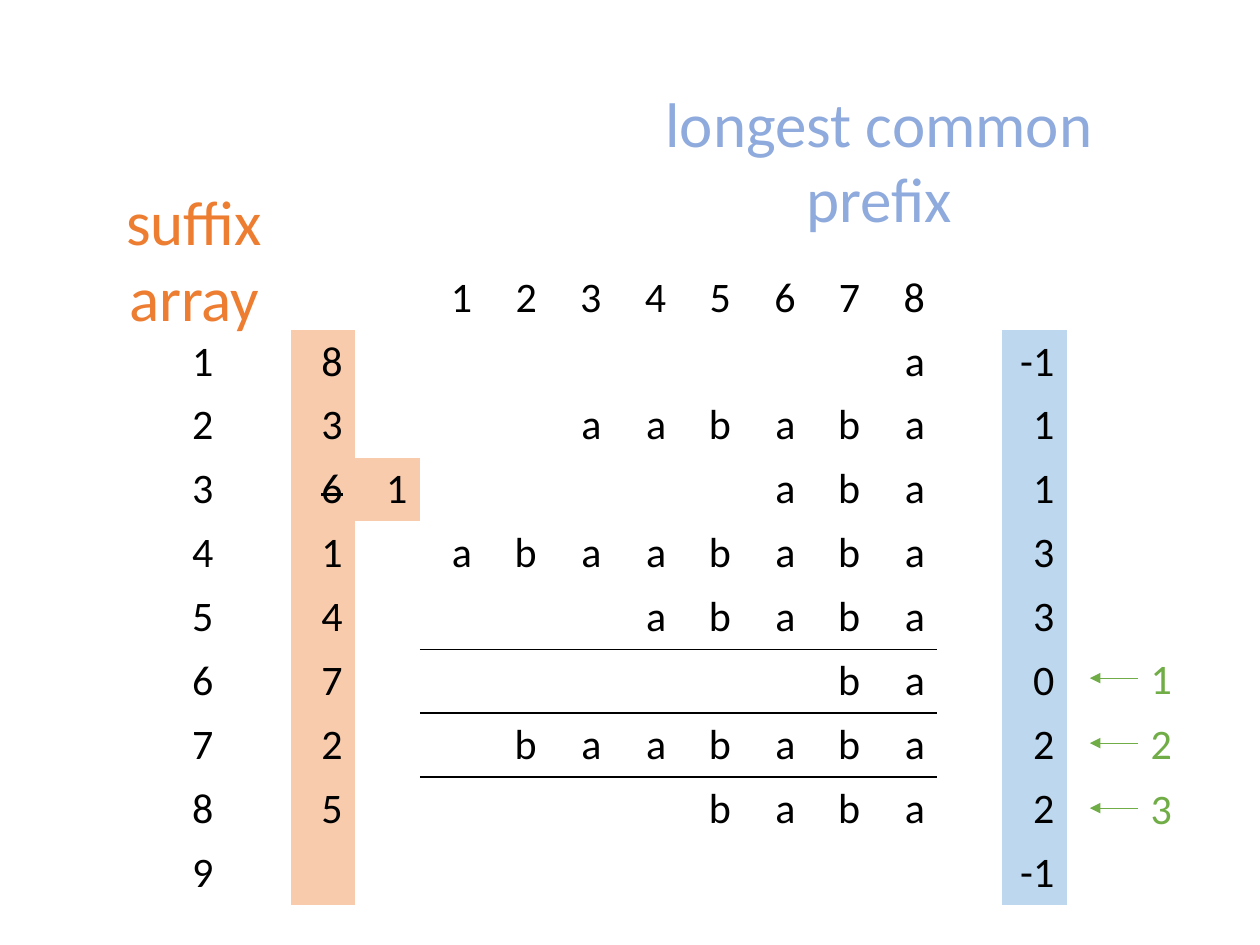
from lxml import etree
from pptx import Presentation
from pptx import util as u
from pptx.dml.color import RGBColor
from pptx.enum import shapes, text
from pptx.oxml import parse_xml
from pptx.oxml.ns import nsdecls, qn

# Content
STRING = "abaababa"
SUFFIX_ARRAY = [8, 3, 6, 1, 4, 7, 2, 5]
LCP = [-1, 1, 1, 3, 3, 0, 2, 2, -1]
STRUCK_ROW, REPLACEMENT = 3, 1
RULED_ROWS = (5, 6)  # rows with a line below
HEADINGS = [  # text, colour name, left, top, width
    ("suffix array", "orange", 0.84, 3.56, 6.15),
    ("longest common prefix", "blue", 11.56, 1.57, 12.32),
]
STEPS = ["1", "2", "3"]

# Table columns
INDEX, SUFFIX, EXTRA, FIRST_LETTER, LCP_COLUMN = 0, 2, 3, 4, 13
ROWS, COLUMNS = len(LCP) + 1, 14

THEME = {
    "font": "Calibri", "heading": 36, "body": 24,
    "black": "000000", "orange": "ED7D31", "blue": "8FAADC", "green": "70AD47",
    "suffix_fill": "F8CBAD", "lcp_fill": "BDD7EE",
}
NO_STYLE = "{2D5ABB26-0587-4C30-8999-92F81FD0307C}"


def colour(name):
    return RGBColor.from_string(THEME[name])


def write(frame, words, size="body", ink="black",
          align=text.PP_ALIGN.CENTER, strike=False):
    paragraph = frame.paragraphs[0]
    paragraph.alignment = align
    run = paragraph.add_run()
    run.text = str(words)
    run.font.name = THEME["font"]
    run.font.size = u.Pt(THEME[size])
    run.font.color.rgb = colour(ink)
    if strike:
        run._r.get_or_add_rPr().set("strike", "sngStrike")


def add_label(slide, words, left, top, width, height, wrap=False, **style):
    box = slide.shapes.add_textbox(u.Cm(left), u.Cm(top), u.Cm(width), u.Cm(height))
    frame = box.text_frame
    frame.word_wrap = wrap
    frame.auto_size = text.MSO_AUTO_SIZE.SHAPE_TO_FIT_TEXT
    if wrap:
        frame.margin_left = frame.margin_right = u.Cm(0.4)
    write(frame, words, **style)


def add_arrow(slide, start, end, y):
    arrow = slide.shapes.add_connector(
        shapes.MSO_CONNECTOR.STRAIGHT, u.Cm(start), u.Cm(y), u.Cm(end), u.Cm(y))
    arrow.line.color.rgb = colour("green")
    arrow.line.width = u.Pt(0.5)
    etree.SubElement(arrow.line._get_or_add_ln(), qn("a:tailEnd"), type="triangle")
    etree.SubElement(arrow._element.spPr, qn("a:effectLst"))


def add_border(cell, side):
    line = parse_xml(
        f'<a:{side} {nsdecls("a")} w="12700"><a:solidFill>'
        f'<a:srgbClr val="{THEME["black"]}"/></a:solidFill></a:{side}>')
    properties = cell._tc.get_or_add_tcPr()
    position = len(properties.findall(qn("a:lnT")))
    properties.insert(position, line)


def table_content():
    """Map (row, column) to the cell's text."""
    cells = {(0, FIRST_LETTER + i): i + 1 for i in range(len(STRING))}
    for row, prefix in enumerate(LCP, start=1):
        cells[row, INDEX] = row
        cells[row, LCP_COLUMN] = prefix
    for row, start in enumerate(SUFFIX_ARRAY, start=1):
        cells[row, SUFFIX] = start
        for i in range(start - 1, len(STRING)):
            cells[row, FIRST_LETTER + i] = STRING[i]
    cells[STRUCK_ROW, EXTRA] = REPLACEMENT
    return cells


def fill_name(row, column):
    if row and column == LCP_COLUMN:
        return "lcp_fill"
    if row and column == SUFFIX or (row, column) == (STRUCK_ROW, EXTRA):
        return "suffix_fill"
    return None


def add_suffix_table(slide):
    frame = slide.shapes.add_table(
        ROWS, COLUMNS, u.Cm(3.25), u.Cm(5.36), u.Cm(18.26), u.Cm(12.7))
    table = frame.table
    table.first_row = table.horz_banding = False
    table._tbl.tblPr.find(qn("a:tableStyleId")).text = NO_STYLE
    for row in table.rows:
        row.height = u.Cm(1.14)

    content = table_content()
    for r in range(ROWS):
        for c in range(COLUMNS):
            cell = table.cell(r, c)
            cell.vertical_anchor = text.MSO_ANCHOR.MIDDLE
            fill = fill_name(r, c)
            if fill:
                cell.fill.solid()
                cell.fill.fore_color.rgb = colour(fill)
            else:
                cell.fill.background()
            if (r, c) in content:
                write(cell.text_frame, content[r, c], align=text.PP_ALIGN.RIGHT,
                      strike=(r, c) == (STRUCK_ROW, SUFFIX))

    # Lines between groups of suffixes
    for r in RULED_ROWS:
        for c in range(FIRST_LETTER, FIRST_LETTER + len(STRING)):
            add_border(table.cell(r, c), "lnB")
            add_border(table.cell(r + 1, c), "lnT")


def main():
    presentation = Presentation()
    presentation.slide_width, presentation.slide_height = u.Cm(25.4), u.Cm(19.05)
    slide = presentation.slides.add_slide(presentation.slide_layouts[6])

    add_suffix_table(slide)

    # Headings
    for words, ink, left, top, width in HEADINGS:
        add_label(slide, words, left, top, width, 1.8, wrap=True,
                  size="heading", ink=ink)

    # Numbered arrows beside the prefix column
    for i, step in enumerate(STEPS):
        top = 13.03 + 1.31 * i
        add_arrow(slide, 22.94, 21.97, top + 0.64)
        add_label(slide, step, 22.94, top, 0.94, 1.27, ink="green")

    presentation.save("out.pptx")


if __name__ == "__main__":
    main()
